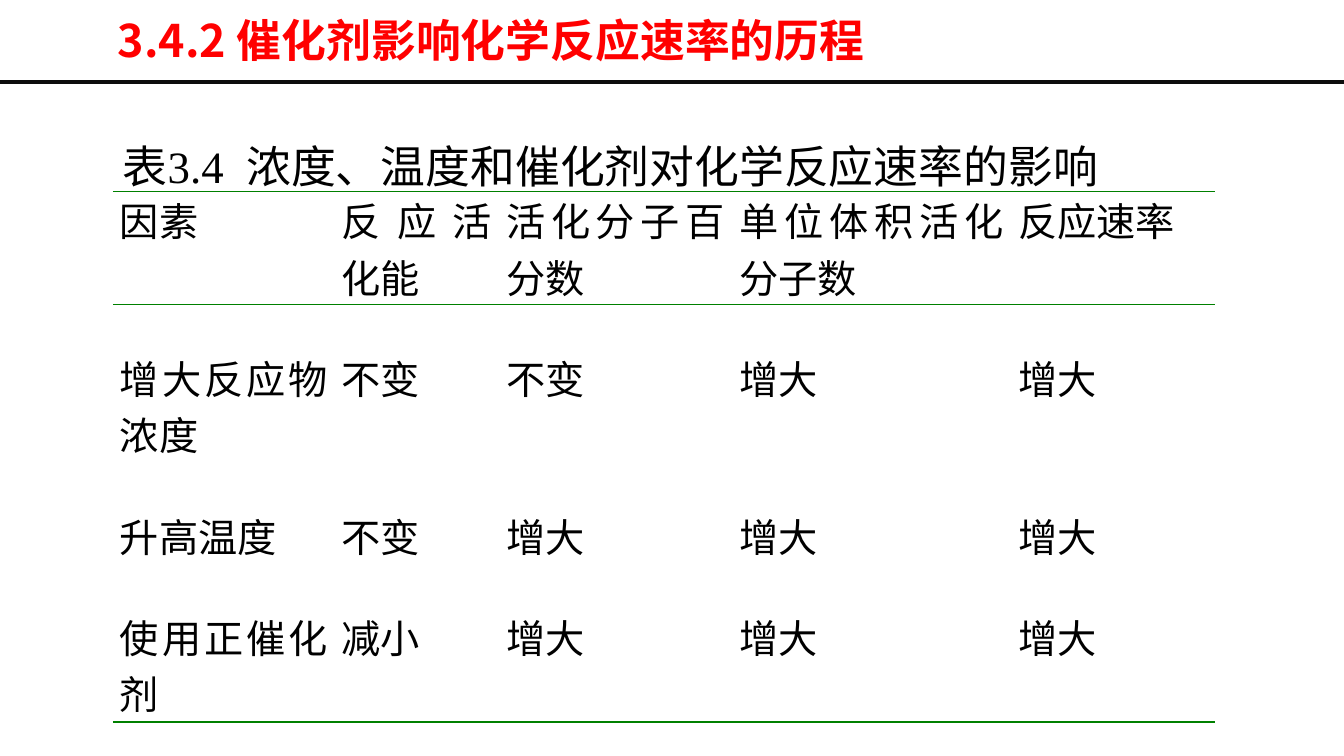
from lxml import etree
from pptx import Presentation
from pptx.dml.color import RGBColor
from pptx.enum import shapes, text
from pptx.oxml import ns
from pptx.util import Inches, Pt

SANS, SERIF = "Noto Sans CJK SC", "Times New Roman"
BLACK, RED, GREEN, RULE = "000000", "FF0000", "008000", "0D0D0D"

COLUMN_WIDTHS = [2.2, 1.63, 2.31, 2.77, 2.02]
ROW_HEIGHTS = [1.12, 1.57, 1, 1.57]
ROWS = [
    ["因素", "反应活化能", "活化分子百分数", "单位体积活化分子数", "反应速率"],
    ["增大反应物浓度", "不变", "不变", "增大", "增大"],
    ["升高温度", "不变", "增大", "增大", "增大"],
    ["使用正催化剂", "减小", "增大", "增大", "增大"],
]


def color(value):
    return RGBColor.from_string(value)


def border(cell, side, width=None):
    """Draw one cell edge (lnL, lnR, lnT or lnB); without a width, hide it."""
    edge = etree.SubElement(cell._tc.get_or_add_tcPr(), ns.qn(f"a:{side}"))
    if width is None:
        etree.SubElement(edge, ns.qn("a:noFill"))
        return
    edge.set("w", str(Pt(width)))
    fill = etree.SubElement(edge, ns.qn("a:solidFill"))
    etree.SubElement(fill, ns.qn("a:srgbClr"), val=GREEN)


class Page:
    def __init__(self, deck):
        self.slide = deck.slides.add_slide(deck.slide_layouts[5])
        self.shapes = self.slide.shapes

    def set_text(self, frame, words, size, name=SERIF, ink=BLACK, bold=False,
                 align=text.PP_ALIGN.JUSTIFY, spacing=None):
        para = frame.paragraphs[0]
        para.text = words
        para.alignment = align
        para.line_spacing = spacing
        font = para.font
        font.size, font.name, font.bold = Pt(size), name, bold
        font.color.rgb = color(ink)
        etree.SubElement(font._element, ns.qn("a:ea"), typeface=SANS)

    def title(self, words, left, top, width, height):
        box = self.shapes.title
        box.left, box.top = Inches(left), Inches(top)
        box.width, box.height = Inches(width), Inches(height)
        frame = box.text_frame
        frame.word_wrap = True
        frame.auto_size = text.MSO_AUTO_SIZE.NONE
        frame.vertical_anchor = text.MSO_ANCHOR.MIDDLE
        self.set_text(frame, words, 32, SANS, RED, True, text.PP_ALIGN.LEFT, 0.9)

    def rule(self, top, width):
        line = self.shapes.add_connector(
            shapes.MSO_CONNECTOR.STRAIGHT, 0, Inches(top), Inches(13.33), Inches(top))
        line.line.color.rgb = color(RULE)
        line.line.width = Pt(width)
        etree.SubElement(line._element.spPr, ns.qn("a:effectLst"))

    def caption(self, words, left, top, width, height):
        box = self.shapes.add_textbox(*map(Inches, (left, top, width, height)))
        box.text_frame.word_wrap = True
        self.set_text(box.text_frame, words, 32, spacing=1.5)

    def table(self, left, top):
        frame = self.shapes.add_table(
            len(ROWS), len(COLUMN_WIDTHS), Inches(left), Inches(top),
            Inches(sum(COLUMN_WIDTHS)), Inches(sum(ROW_HEIGHTS)))
        grid = frame.table
        grid.first_row = grid.horz_banding = False
        for column, width in zip(grid.columns, COLUMN_WIDTHS):
            column.width = Inches(width)
        edges = [1.5, 1, None, None, 1.5]
        for index, words in enumerate(ROWS):
            grid.rows[index].height = Inches(ROW_HEIGHTS[index])
            for cell, word in zip(grid.rows[index].cells, words):
                cell.margin_left = cell.margin_right = Inches(0.07)
                cell.margin_top = Inches(0.44 if index else 0)
                cell.margin_bottom = 0
                self.set_text(cell.text_frame, word, 28)
                border(cell, "lnL")
                border(cell, "lnR")
                border(cell, "lnT", edges[index])
                border(cell, "lnB", edges[index + 1])
                cell.fill.background()


def main():
    deck = Presentation()
    deck.slide_width, deck.slide_height = Inches(13.33), Inches(7.5)
    page = Page(deck)
    page.rule(0.81, 3)
    page.title("3.4.2 催化剂影响化学反应速率的历程", 1.07, 0.13, 9.23, 0.6)
    page.caption("表3.4  浓度、温度和催化剂对化学反应速率的影响", 1.12, 1.06, 11.15, 0.84)
    page.table(1.12, 1.9)
    deck.save("out.pptx")


if __name__ == "__main__":
    main()
